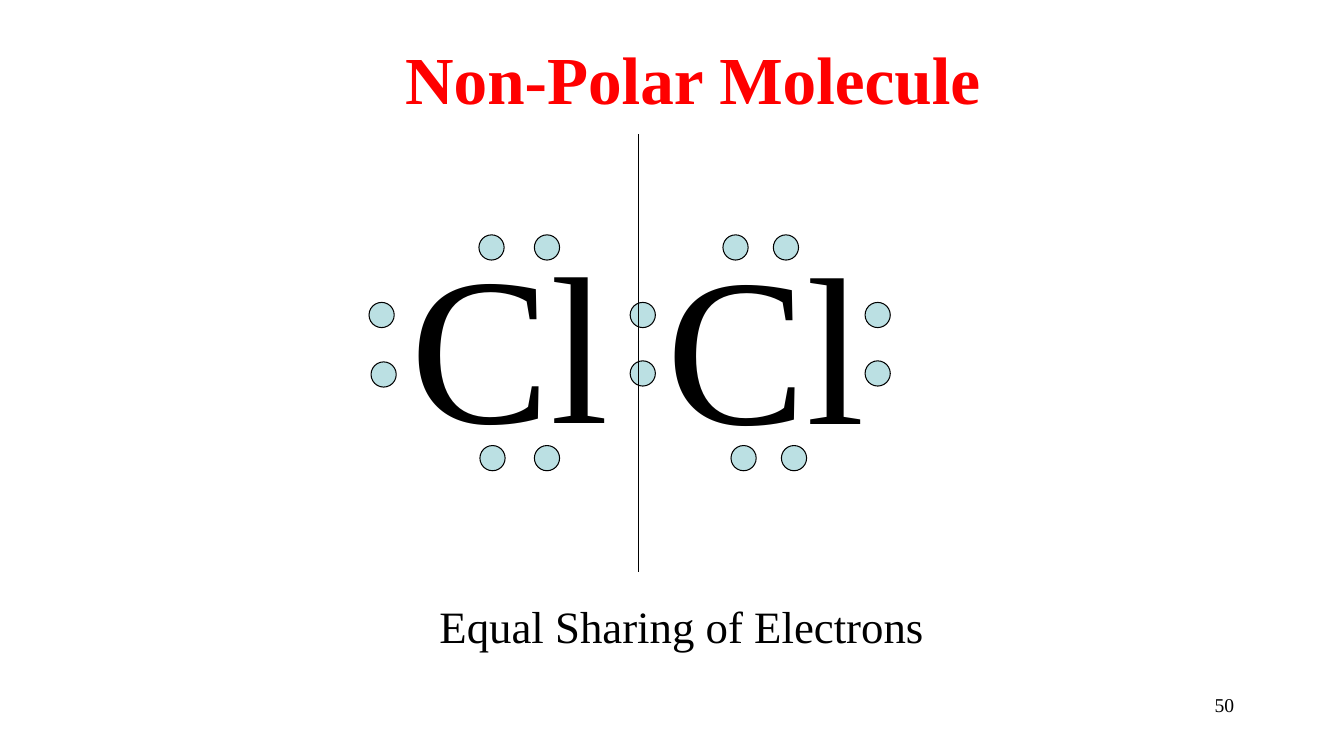
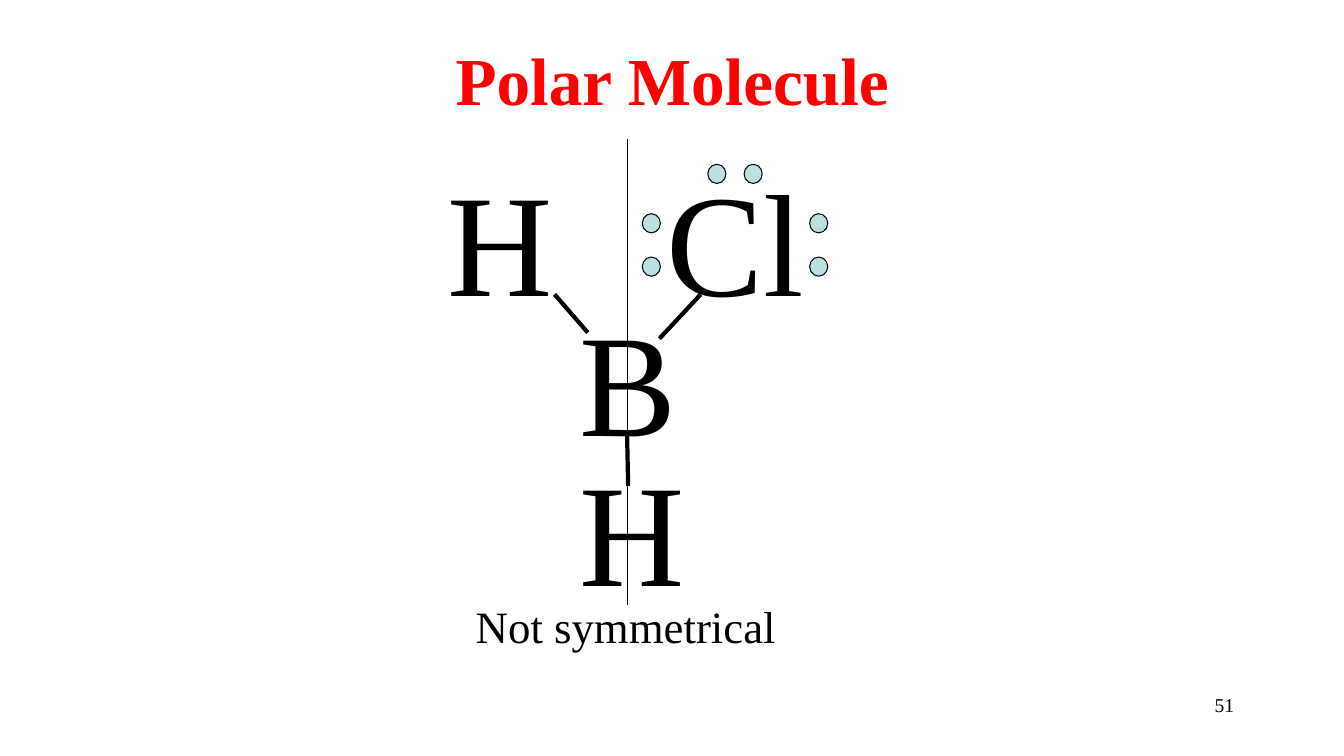
"""Build two slides that contrast a non-polar and a polar molecule."""
from lxml.etree import SubElement
from pptx import Presentation
from pptx.dml.color import RGBColor
from pptx.enum.shapes import MSO_CONNECTOR, MSO_SHAPE
from pptx.enum.text import PP_ALIGN
from pptx.oxml.ns import qn
from pptx.util import Emu, Pt

HUES = {"title": "FF0000", "ink": "000000", "dot": "BBE0E3", "page": "FFFFFF"}
FONT = "Times New Roman"
SCALE = 9144


def px(num):
    return Emu(num * SCALE)


def hue(name):
    return RGBColor.from_string(HUES[name])


def text(slide, words, box, size, name="ink", bold=False,
         align=PP_ALIGN.LEFT, wrap=True):
    frame = slide.shapes.add_textbox(*map(px, box)).text_frame
    frame.word_wrap = wrap
    par = frame.paragraphs[0]
    par.text = words
    par.alignment = align
    font = par.font
    font.name, font.size, font.bold = FONT, Pt(size), bold
    font.color.rgb = hue(name)


def title(slide, words, left, top, width):
    text(slide, words, (left, top, width, 91), 48, "title", True)


def label(slide, words, left, width):
    text(slide, words, (left, 589, width, 64), 32, wrap=False)


def footer(slide, num):
    text(slide, str(num), (956, 683, 278, 50), 14, align=PP_ALIGN.RIGHT)


def atom(slide, sign, left, top, size, width, height):
    text(slide, sign, (left, top, width, height), size)


def dots(slide, spots, width, height):
    for left, top in spots:
        dot = slide.shapes.add_shape(
            MSO_SHAPE.OVAL, px(left), px(top), px(width), px(height))
        dot.shadow.inherit = False
        dot.fill.solid()
        dot.fill.fore_color.rgb = hue("dot")
        dot.line.color.rgb = hue("ink")
        dot.line.width = Pt(0.75)


def line(slide, ends, weight=0.75):
    link = slide.shapes.add_connector(MSO_CONNECTOR.STRAIGHT, *map(px, ends))
    link.line.color.rgb = hue("ink")
    link.line.width = Pt(weight)
    SubElement(link._element.spPr, qn("a:effectLst"))


def start(deck):
    slide = deck.slides.add_slide(deck.slide_layouts[6])
    fill = slide.background.fill
    fill.solid()
    fill.fore_color.rgb = hue("page")
    return slide


def equal(deck):
    slide = start(deck)
    right = [(717, 233), (767, 233), (858, 300), (858, 358),
             (625, 300), (625, 358), (775, 442), (725, 442)]
    left = [(530, 233), (475, 233), (366, 300), (368, 359),
            (530, 442), (476, 442)]
    atom(slide, "Cl", 651, 208, 150, 340, 260)
    dots(slide, right, 25, 25)
    line(slide, (633, 133, 633, 567))
    title(slide, "Non-Polar Molecule", 392, 32, 592)
    atom(slide, "Cl", 397, 207, 150, 340, 260)
    dots(slide, left, 25, 25)
    label(slide, "Equal Sharing of Electrons", 426, 505)
    footer(slide, 50)


def uneven(deck):
    slide = start(deck)
    spots = [(702, 163), (738, 163), (803, 212), (803, 255),
             (637, 212), (637, 255)]
    atoms = [("H", 434, 145), ("Cl", 651, 145),
             ("H", 565, 432), ("B", 565, 284)]
    bonds = [(550, 292, 583, 330), (695, 292, 654, 336),
             (622, 432, 623, 482)]
    for sign, left, top in atoms:
        atom(slide, sign, left, top, 104, 200, 185)
    dots(slide, spots, 18, 19)
    line(slide, (622, 138, 622, 600))
    title(slide, "Polar Molecule", 442, 33, 525)
    label(slide, "Not symmetrical", 462, 321)
    for ends in bonds:
        line(slide, ends, 3)
    footer(slide, 51)


def main():
    deck = Presentation()
    deck.slide_width, deck.slide_height = px(1333), px(750)
    equal(deck)
    uneven(deck)
    deck.save("out.pptx")


if __name__ == "__main__":
    main()
